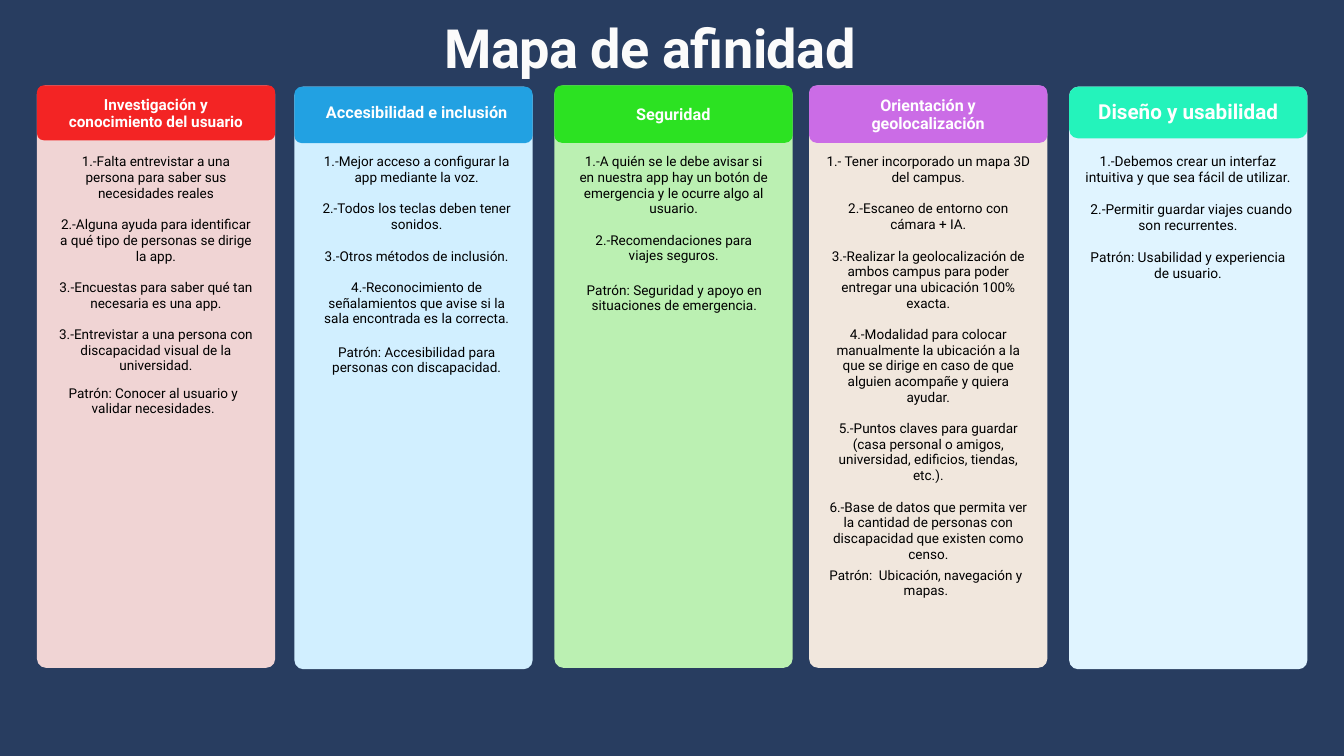
from pptx import Presentation
from pptx.dml.color import RGBColor
from pptx.enum.shapes import MSO_SHAPE
from pptx.enum.text import PP_ALIGN
from pptx.util import Pt

COLORS = {
    "background": "283D60", "title": "FBFBFB", "white": "FFFFFF", "ink": "000000",
    "red": "F32424", "pink": "F0D4D4", "blue": "22A1E2", "sky": "D1EFFF",
    "green": "2CE222", "mint": "BBF0B2", "purple": "CB6CE6", "sand": "F1E7DD",
    "turquoise": "24F3BB", "ice": "E0F4FF",
}
CARD_WIDTH, CARD_HEIGHT, CARD_RADIUS = 255.3, 624.2, 9.7
HEADING_WIDTH = 211.7
NOTE_SIZE, NOTE_PITCH = 14.5, 16.8

COLUMNS = [
    {
        "place": (39.6, 91.4), "header": (59, 7.5), "colors": ("red", "pink"),
        "heading": ("Investigación y conocimiento del usuario", 61.2, 103.7, 16.4, 18.1),
        "notes_place": (59.8, 164.9, 214.6),
        "notes": [
            "1.-Falta entrevistar a una persona para saber sus necesidades reales",
            "2.-Alguna ayuda para identificar a qué tipo de personas se dirige la app.",
            "3.-Encuestas para saber qué tan necesaria es una app.",
            "3.-Entrevistar a una persona con discapacidad visual de la universidad.",
        ],
        "pattern_place": (59.8, 412.6, 208.8),
        "pattern": "Patrón: Conocer al usuario y validar necesidades.",
    },
    {
        "place": (315.4, 92.9), "header": (60.5, 8), "colors": ("blue", "sky"),
        "heading": ("Accesibilidad e inclusión", 340.6, 111.6, 17.4, 19.1),
        "notes_place": (340.6, 164.9, 211.7),
        "notes": [
            "1.-Mejor acceso a configurar la app mediante la voz.",
            "2.-Todos los teclas deben tener sonidos.",
            "3.-Otros métodos de inclusión.",
            "4.-Reconocimiento de señalamientos que avise si la sala encontrada es la correcta.",
        ],
        "pattern_place": (340.6, 368.6, 211.7),
        "pattern": "Patrón: Accesibilidad para personas con discapacidad.",
    },
    {
        "place": (594, 91.4), "header": (61.6, 8), "colors": ("green", "mint"),
        "heading": ("Seguridad", 615.6, 113.8, 17.4, 19.1),
        "notes_place": (617.8, 164.9, 208.1),
        "notes": [
            "1.-A quién se le debe avisar si en nuestra app hay un botón de emergencia "
            "y le ocurre algo al usuario.",
            "2.-Recomendaciones para viajes seguros.",
        ],
        "pattern_place": (616.3, 302.4, 212.4),
        "pattern": "Patrón: Seguridad y apoyo en situaciones de emergencia.",
    },
    {
        "place": (866.9, 91.4), "header": (61.6, 8), "colors": ("purple", "sand"),
        "heading": ("Orientación y geolocalización", 888.5, 104.4, 17.2, 18.9),
        "notes_place": (883.4, 164.9, 222.5),
        "notes": [
            "1.- Tener incorporado un mapa 3D del campus.",
            "2.-Escaneo de entorno con cámara + IA.",
            "3.-Realizar la geolocalización de ambos campus para poder entregar una "
            "ubicación 100% exacta.",
            "4.-Modalidad para colocar manualmente la ubicación a la que se dirige en "
            "caso de que alguien acompañe y quiera ayudar.",
            "5.-Puntos claves para guardar (casa personal o amigos, universidad, "
            "edificios, tiendas, etc.).",
            "6.-Base de datos que permita ver la cantidad de personas con discapacidad "
            "que existen como censo.",
        ],
        "pattern_place": (883.4, 607.7, 217.4), "pattern_type": (14.4, 16.7),
        "pattern": "Patrón:  Ubicación, navegación y mapas.",
    },
    {
        "place": (1145.5, 92.9), "header": (55.4, 9.7), "colors": ("turquoise", "ice"),
        "heading": ("Diseño y usabilidad", 1167.1, 108, 22.1, 24.3),
        "notes_place": (1160.6, 164.2, 224.6), "notes_type": (14.7, 17.1),
        "notes": [
            "1.-Debemos crear un interfaz intuitiva y que sea fácil de utilizar.",
            "2.-Permitir guardar viajes cuando son recurrentes.",
            "Patrón: Usabilidad y experiencia de usuario.",
        ],
        "indents": {1: 7.3},
    },
]


class AffinityMap:
    def __init__(self, deck):
        self.font_name = "Roboto"
        self.page = deck.slides.add_slide(deck.slide_layouts[6])
        fill = self.page.background.fill
        fill.solid()
        fill.fore_color.rgb = self.color("background")

    def color(self, name):
        return RGBColor.from_string(COLORS[name])

    def panel(self, left, top, height, radius, color):
        panel = self.page.shapes.add_shape(
            MSO_SHAPE.ROUNDED_RECTANGLE, Pt(left), Pt(top), Pt(CARD_WIDTH), Pt(height))
        panel.adjustments[0] = radius / min(CARD_WIDTH, height)
        panel.shadow.inherit = False
        panel.fill.solid()
        panel.fill.fore_color.rgb = self.color(color)
        panel.line.fill.background()

    def text(self, lines, left, top, width, size, pitch, color="ink", bold=False,
             align=PP_ALIGN.CENTER, indents=None, tracking=None):
        box = self.page.shapes.add_textbox(
            Pt(left), Pt(top), Pt(width), Pt(pitch * (2 * len(lines) - 1)))
        frame = box.text_frame
        frame_format = {"word_wrap": True, "margin_left": 0, "margin_top": 0,
                        "margin_right": 0, "margin_bottom": 0}
        for name, value in frame_format.items():
            setattr(frame, name, value)
        font_format = {"name": self.font_name, "size": Pt(size), "bold": bold}
        for index, line in enumerate(lines):
            para = frame.add_paragraph() if index else frame.paragraphs[0]
            para_format = {"alignment": align, "line_spacing": Pt(pitch),
                           "space_before": Pt(pitch if index else 0)}
            for name, value in para_format.items():
                setattr(para, name, value)
            if indents and index in indents:
                para._p.get_or_add_pPr().set("indent", str(int(Pt(indents[index]))))
            span = para.add_run()
            span.text = line
            for name, value in font_format.items():
                setattr(span.font, name, value)
            span.font.color.rgb = self.color(color)
            if tracking:
                span._r.get_or_add_rPr().set("spc", str(int(tracking * 100)))

    def column(self, column):
        left, top = column["place"]
        header_height, header_radius = column["header"]
        header_color, card_color = column["colors"]
        self.panel(left, top, CARD_HEIGHT, CARD_RADIUS, card_color)
        self.panel(left, top, header_height, header_radius, header_color)
        heading, heading_left, heading_top, size, pitch = column["heading"]
        self.text([heading], heading_left, heading_top, HEADING_WIDTH, size, pitch,
                  color="white", bold=True)
        note_type = (NOTE_SIZE, NOTE_PITCH)
        self.text(column["notes"], *column["notes_place"],
                  *column.get("notes_type", note_type), indents=column.get("indents"))
        if "pattern" in column:
            self.text([column["pattern"]], *column["pattern_place"],
                      *column.get("pattern_type", note_type))


def main():
    deck = Presentation()
    deck.slide_width, deck.slide_height = Pt(1440), Pt(810)
    board = AffinityMap(deck)
    board.text(["Mapa de afinidad"], 475.9, 3.6, 488.2, 57.9, 81.1, color="title",
               bold=True, align=PP_ALIGN.LEFT, tracking=-0.6)
    for column in COLUMNS:
        board.column(column)
    deck.save("out.pptx")


if __name__ == "__main__":
    main()
